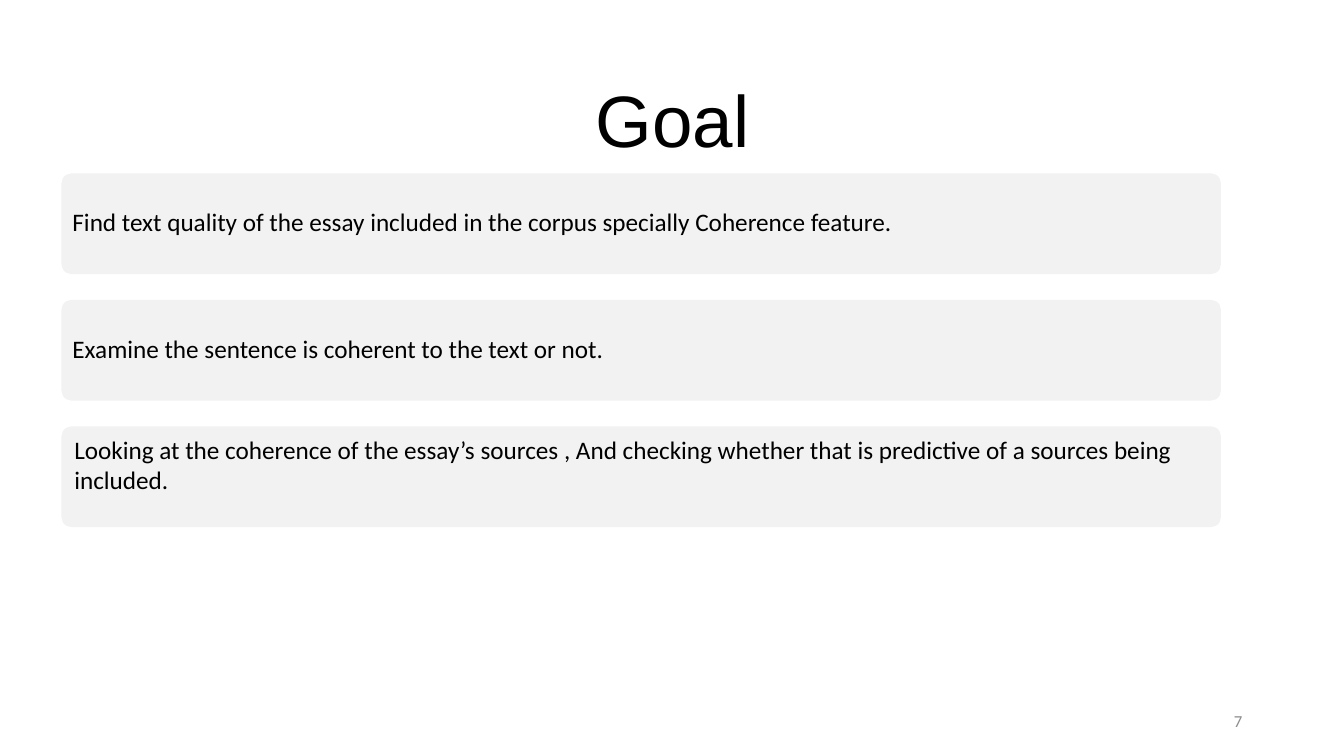
from pptx import Presentation
from pptx.dml.color import RGBColor
from pptx.enum.shapes import MSO_SHAPE
from pptx.enum.text import MSO_ANCHOR, PP_ALIGN
from pptx.util import Inches, Pt

ROUNDED = MSO_SHAPE.ROUNDED_RECTANGLE
TOP, MIDDLE = MSO_ANCHOR.TOP, MSO_ANCHOR.MIDDLE
LEFT, CENTER, RIGHT = PP_ALIGN.LEFT, PP_ALIGN.CENTER, PP_ALIGN.RIGHT
COLORS = {"text": "000000", "card": "F2F2F2", "number": "8C8C8C"}

CARD_LEFT, CARD_TOP = 0.61, 1.72
CARD_WIDTH, CARD_HEIGHT = 11.5, 1
CARD_STEP = 1.255


def write(box, text, size, font, color, align, anchor, spacing=1.0):
    frame = box.text_frame
    frame.word_wrap = True
    frame.vertical_anchor = anchor
    para = frame.paragraphs[0]
    para.alignment = align
    para.line_spacing = spacing
    span = para.add_run()
    span.text = text
    span.font.size = Pt(size)
    span.font.name = font
    span.font.color.rgb = RGBColor.from_string(COLORS[color])


deck = Presentation()
deck.slide_width = Inches(13.33)
deck.slide_height = Inches(7.5)
page = deck.slides.add_slide(deck.slide_layouts[6])

title = page.shapes.add_textbox(Inches(0.92), Inches(0.61), Inches(11.5), Inches(1.24))
write(title, "Goal", 52, "Arial", "text", CENTER, MIDDLE, 0.9)

goals = [
    ("Find text quality of the essay included in the corpus specially Coherence feature.", MIDDLE, 0.9, 0.08),
    ("Examine the sentence is coherent to the text or not.", MIDDLE, 0.9, 0.08),
    (
        "Looking at the coherence of the essay’s sources , And checking whether "
        "that is predictive of a sources being included.",
        TOP, 1.0, 0.1,
    ),
]
for row, (goal, anchor, spacing, inset) in enumerate(goals):
    card = page.shapes.add_shape(
        ROUNDED,
        Inches(CARD_LEFT), Inches(CARD_TOP + row * CARD_STEP),
        Inches(CARD_WIDTH), Inches(CARD_HEIGHT),
    )
    card.adjustments[0] = 0.1
    card.shadow.inherit = False
    card.fill.solid()
    card.fill.fore_color.rgb = RGBColor.from_string(COLORS["card"])
    card.line.fill.background()
    card.text_frame.margin_left = card.text_frame.margin_right = Inches(inset)
    write(card, goal, 18, "Calibri", "text", LEFT, anchor, spacing)

number = page.shapes.add_textbox(Inches(9.42), Inches(6.95), Inches(3), Inches(0.4))
write(number, "7", 12, "Calibri", "number", RIGHT, MIDDLE)

deck.save("out.pptx")
